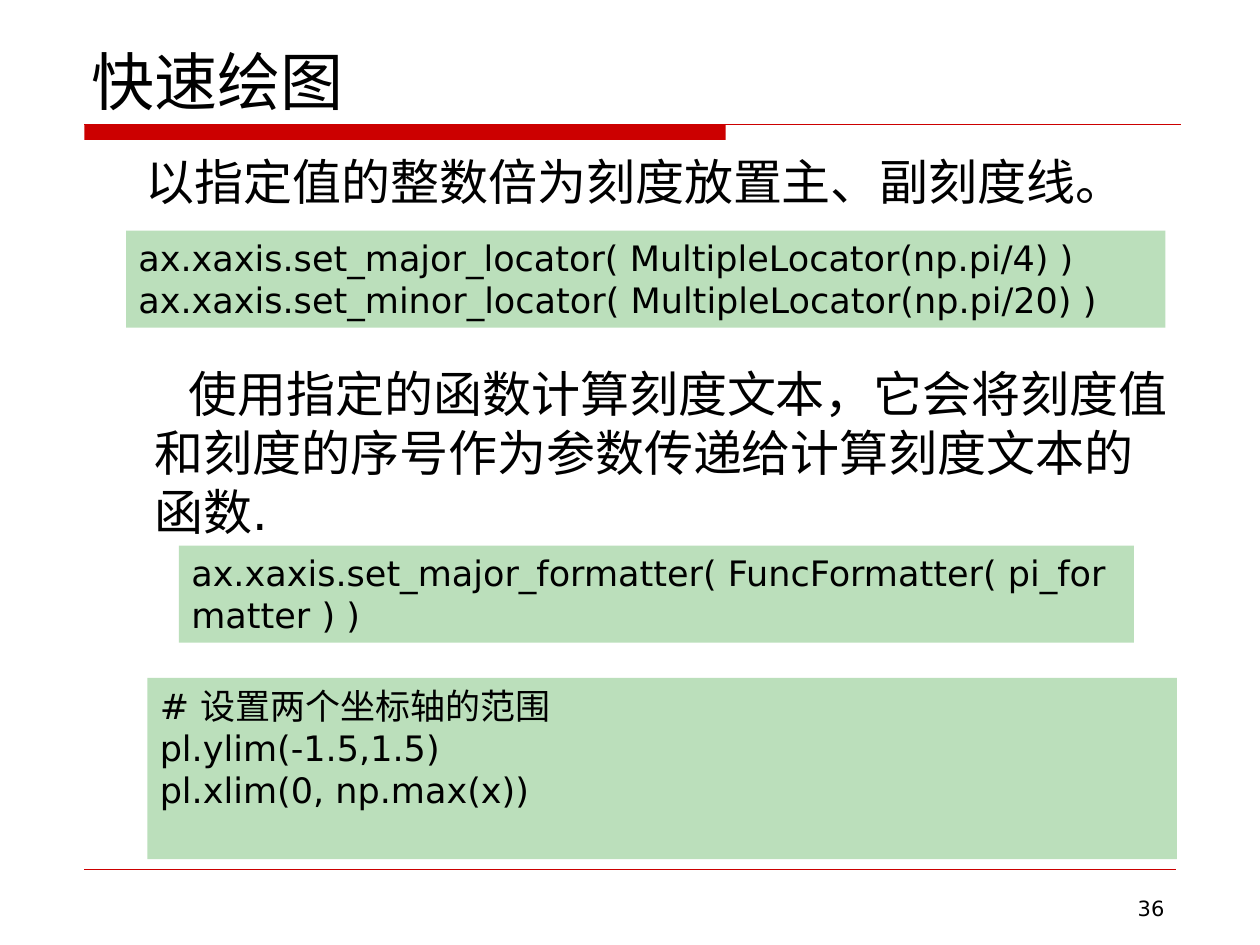
from pptx import Presentation
from pptx.dml.color import RGBColor
from pptx.enum.shapes import MSO_CONNECTOR, MSO_SHAPE
from pptx.enum.text import MSO_ANCHOR, PP_ALIGN
from pptx.oxml.ns import qn
from pptx.util import Inches, Pt
from lxml.etree import SubElement

# Content
TITLE = "快速绘图"
PAGE = "36"
# text, first-line indent (inches), space before (points)
BODY = [
    ("以指定值的整数倍为刻度放置主、副刻度线。", -0.07, 0),
    ("使用指定的函数计算刻度文本，它会将刻度值和刻度的序号作为参数传递给计算刻度文本的函数.", 0.27, 88),
]
# box, paragraphs, each a list of lines
CODE = [
    ((1, 1.83, 8.25, 0.77), [
        ["ax.xaxis.set_major_locator( MultipleLocator(np.pi/4) )"],
        ["ax.xaxis.set_minor_locator( MultipleLocator(np.pi/20) )"]]),
    ((1.42, 4.33, 7.58, 0.77), [
        ["ax.xaxis.set_major_formatter( FuncFormatter( pi_for", "matter ) )"]]),
    ((1.17, 5.38, 8.17, 1.44), [
        ["# 设置两个坐标轴的范围"],
        ["pl.ylim(-1.5,1.5)"],
        ["pl.xlim(0, np.max(x))"]]),
]
THEME = {
    "font": "DejaVu Sans",
    "text": RGBColor(0, 0, 0),
    "accent": RGBColor(0xCC, 0, 0),
    "code": RGBColor(0xBB, 0xDF, 0xBB),
    "title_size": 36, "body_size": 28, "code_size": 20, "page_size": 12,
}


def inches(box):
    return [Inches(v) for v in box]


def add_run(p, text, size):
    r = p.add_run()
    r.text = text
    r.font.name = THEME["font"]
    r.font.size = Pt(THEME[size])
    r.font.color.rgb = THEME["text"]


def add_rule(s, x1, x2, y, width):
    line = s.shapes.add_connector(MSO_CONNECTOR.STRAIGHT, *inches((x1, y, x2, y)))
    line.line.color.rgb = THEME["accent"]
    line.line.width = Pt(width)
    SubElement(line._element.spPr, qn("a:effectLst"))


def add_block(s, box, color):
    sp = s.shapes.add_shape(MSO_SHAPE.RECTANGLE, *inches(box))
    sp.shadow.inherit = False
    sp.fill.solid()
    sp.fill.fore_color.rgb = color
    sp.line.fill.background()
    return sp


def add_text(s, box):
    tf = s.shapes.add_textbox(*inches(box)).text_frame
    tf.word_wrap = True
    return tf


def next_paragraph(tf, i):
    return tf.add_paragraph() if i else tf.paragraphs[0]


prs = Presentation()
prs.slide_width, prs.slide_height = Inches(10), Inches(7.5)
s = prs.slides.add_slide(prs.slide_layouts[5])

# Title bar and footer rule
add_block(s, (0.67, 0.99, 5.09, 0.12), THEME["accent"])
add_rule(s, 0.67, 9.37, 0.99, 0.75)
add_rule(s, 0.67, 9.33, 6.9, 0.25)

# Title
title = s.shapes.title
title.left, title.top, title.width, title.height = inches((0.63, 0.33, 8.75, 0.66))
tf = title.text_frame
tf.vertical_anchor = MSO_ANCHOR.BOTTOM
p = tf.paragraphs[0]
p.alignment = PP_ALIGN.LEFT
add_run(p, TITLE, "title_size")

# Explanations
tf = add_text(s, (0.62, 1.15, 8.75, 5.43))
for i, (text, indent, before) in enumerate(BODY):
    p = next_paragraph(tf, i)
    pPr = p._p.get_or_add_pPr()
    pPr.set("marL", str(Inches(0.51)))
    pPr.set("indent", str(Inches(indent)))
    if before:
        p.space_before = Pt(before)
    add_run(p, text, "body_size")

# Code blocks
for box, paragraphs in CODE:
    tf = add_block(s, box, THEME["code"]).text_frame
    tf.word_wrap = True
    tf.vertical_anchor = MSO_ANCHOR.TOP
    for i, lines in enumerate(paragraphs):
        p = next_paragraph(tf, i)
        p.alignment = PP_ALIGN.LEFT
        for j, line in enumerate(lines):
            if j:
                p.add_line_break()
            add_run(p, line, "code_size")

# Page number
p = add_text(s, (7.17, 7.06, 2.17, 0.29)).paragraphs[0]
p.alignment = PP_ALIGN.RIGHT
add_run(p, PAGE, "page_size")

prs.save("out.pptx")
